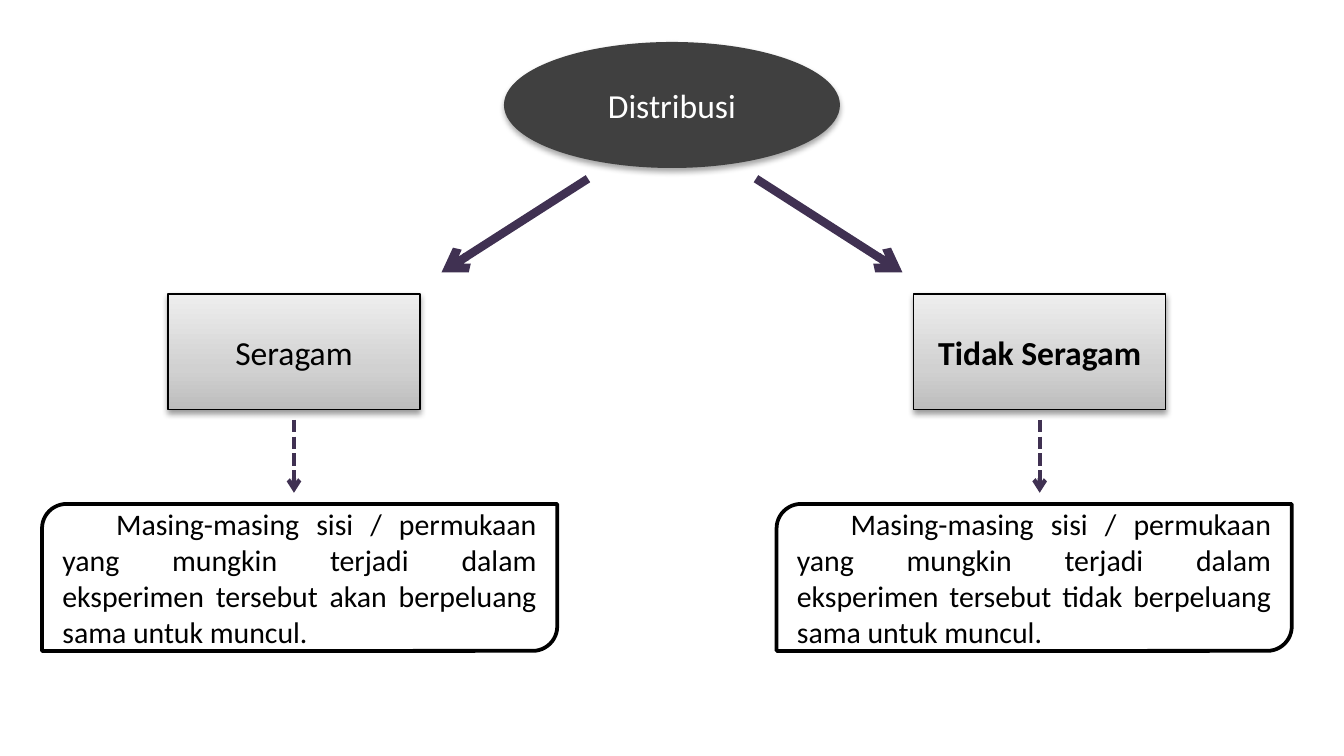
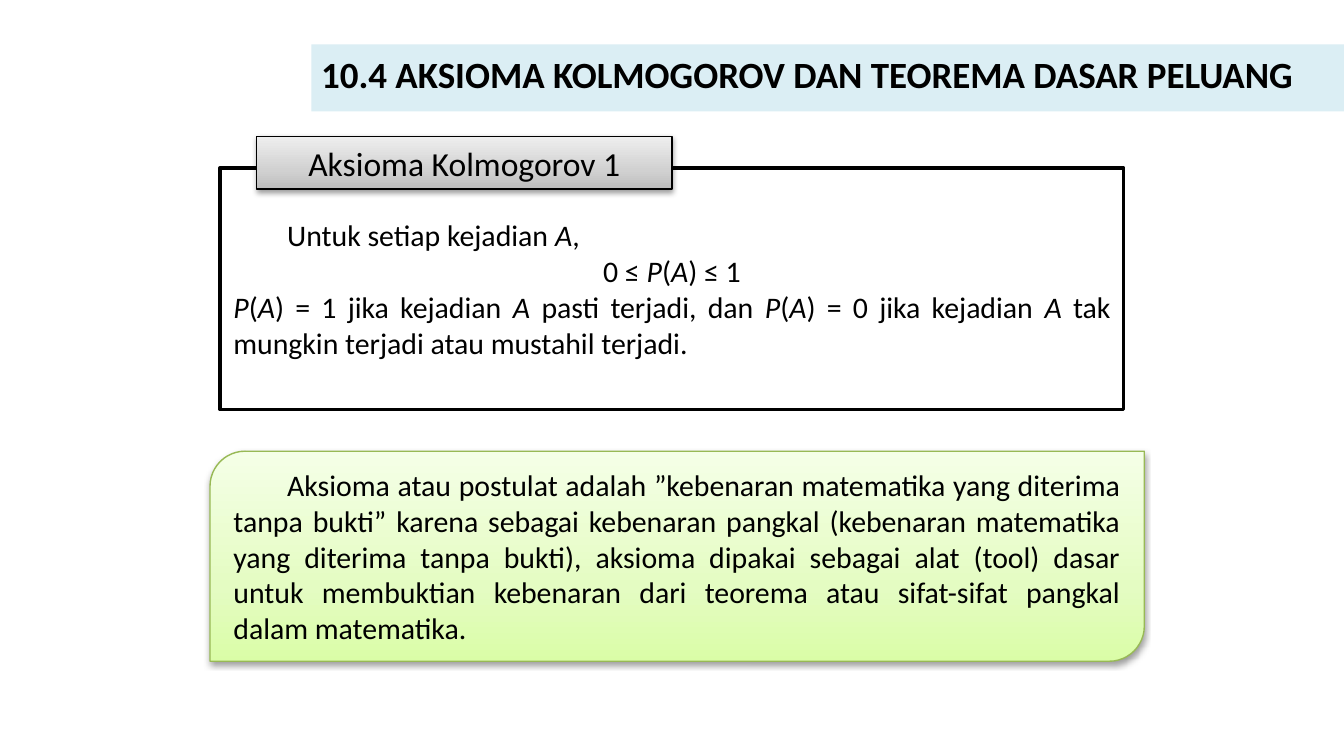
from copy import deepcopy
from dataclasses import dataclass

from lxml.etree import SubElement
from pptx import Presentation
from pptx.dml.color import RGBColor
from pptx.enum.dml import MSO_LINE
from pptx.enum.shapes import MSO_CONNECTOR, MSO_SHAPE
from pptx.enum.text import MSO_ANCHOR, PP_ALIGN
from pptx.oxml.ns import qn
from pptx.util import Pt


@dataclass(frozen=True)
class Theme:
    font: str = "Calibri"
    ink: str = "000000"
    paper: str = "FFFFFF"
    root: str = "404040"
    arrow: str = "403152"
    band: str = "DBEEF4"
    leaf: str = "98B955"
    grey_blend: tuple = ("BDBDBD", "D1D1D1", "EEEEEE")
    green_blend: tuple = ("DAFDA7", "E4FCC2", "F5FFE7")
    blend_stops: tuple = (0, 0.35, 1)
    title: float = 19.8
    label: float = 18
    body: float = 16
    indent: float = 28.8


theme = Theme()


def add_panel(slide, kind, box, paragraphs, fill, size, line=None, weight=0.75,
              color=theme.ink, bold=False, shadow=None):
    panel = slide.shapes.add_shape(kind, *[Pt(length) for length in box])
    panel.shadow.inherit = False
    if isinstance(fill, tuple):
        panel.fill.gradient()
        panel.fill.gradient_angle = 90
        first_stop = panel.element.spPr.find(".//" + qn("a:gs"))
        first_stop.addnext(deepcopy(first_stop))
        for stop, tint, position in zip(panel.fill.gradient_stops, fill, theme.blend_stops):
            stop.color.rgb = RGBColor.from_string(tint)
            stop.position = position
    else:
        panel.fill.solid()
        panel.fill.fore_color.rgb = RGBColor.from_string(fill)
    if line:
        panel.line.color.rgb = RGBColor.from_string(line)
        panel.line.width = Pt(weight)
    else:
        panel.line.fill.background()
    if shadow:
        opacity, distance = shadow
        effects = panel.element.spPr.find(qn("a:effectLst"))
        outer = SubElement(effects, qn("a:outerShdw"), blurRad=str(Pt(3.15)),
                           dist=str(Pt(distance)), dir="5400000", rotWithShape="0")
        shade = SubElement(outer, qn("a:srgbClr"), val=theme.ink)
        SubElement(shade, qn("a:alpha"), val=str(opacity * 1000))

    frame = panel.text_frame
    frame.word_wrap = True
    frame.vertical_anchor = MSO_ANCHOR.MIDDLE
    for index, (text, align, indent) in enumerate(paragraphs):
        paragraph = frame.paragraphs[0] if index == 0 else frame.add_paragraph()
        paragraph.alignment = align
        if indent:
            properties = paragraph._p.get_or_add_pPr()
            properties.set("marL", "0")
            properties.set("indent", str(Pt(indent)))
        for part, words in enumerate(text.split("_")):
            if words:
                run = paragraph.add_run()
                run.text = words
                run.font.name = theme.font
                run.font.size = Pt(size)
                run.font.bold = bold
                run.font.italic = part % 2 == 1
                run.font.color.rgb = RGBColor.from_string(color)
    return panel


def add_arrow(slide, start, end, weight, dash=None):
    arrow = slide.shapes.add_connector(
        MSO_CONNECTOR.STRAIGHT, *[Pt(length) for length in (*start, *end)])
    arrow.line.color.rgb = RGBColor.from_string(theme.arrow)
    arrow.line.width = Pt(weight)
    if dash:
        arrow.line.dash_style = dash
    properties = arrow.element.spPr
    SubElement(properties.find(qn("a:ln")), qn("a:tailEnd"), type="arrow")
    SubElement(properties, qn("a:effectLst"))


presentation = Presentation()
presentation.slide_width = Pt(720)
presentation.slide_height = Pt(405)
blank = presentation.slide_layouts[6]
label_style = dict(fill=theme.grey_blend, size=theme.label, line=theme.ink, shadow=(38, 1.57))

distribution = presentation.slides.add_slide(blank)
add_panel(distribution, MSO_SHAPE.OVAL, (270, 22.5, 180, 67.5),
          [("Distribusi", PP_ALIGN.CENTER, 0)],
          theme.root, theme.label, color=theme.paper, shadow=(35, 1.8))

branches = [
    ("Seragam", False, 157.5, 22.5, -1, "akan"),
    ("Tidak Seragam", True, 557, 416, 1, "tidak"),
]
for name, bold, center, definition_left, side, verb in branches:
    add_panel(distribution, MSO_SHAPE.RECTANGLE, (center - 67.5, 157.5, 135, 62),
              [(name, PP_ALIGN.CENTER, 0)], bold=bold, **label_style)
    definition = ("Masing-masing sisi / permukaan yang mungkin terjadi dalam "
                  f"eksperimen tersebut {verb} berpeluang sama untuk muncul.")
    add_panel(distribution, MSO_SHAPE.ROUND_2_DIAG_RECTANGLE,
              (definition_left, 270, 276, 78.75),
              [(definition, PP_ALIGN.JUSTIFY, theme.indent)],
              theme.paper, theme.body, line=theme.ink, weight=2)
    add_arrow(distribution, (360 + side * 45, 95.75), (360 + side * 123.5, 146), 4.5)
    add_arrow(distribution, (center, 225), (center, 264), 2.25, MSO_LINE.SQUARE_DOT)

axiom = presentation.slides.add_slide(blank)
heading = add_panel(axiom, MSO_SHAPE.RECTANGLE, (166.75, 23.75, 553.25, 36),
                    [("10.4 AKSIOMA KOLMOGOROV DAN TEOREMA DASAR PELUANG", PP_ALIGN.LEFT, 0)],
                    theme.band, theme.title, bold=True)
heading.text_frame.margin_left = heading.text_frame.margin_right = Pt(5.25)
heading.text_frame.margin_top = heading.text_frame.margin_bottom = Pt(2.75)
heading.text_frame.paragraphs[0].line_spacing = 0.8

add_panel(axiom, MSO_SHAPE.RECTANGLE, (118, 90, 484, 129.5), [
    ("Untuk setiap kejadian _A_,", PP_ALIGN.JUSTIFY, theme.indent),
    ("0 ≤ _P_(_A_) ≤ 1", PP_ALIGN.CENTER, 0),
    ("_P_(_A_) = 1 jika kejadian_ A _pasti terjadi, dan _P_(_A_) = 0 jika kejadian "
     "_A _tak mungkin terjadi atau mustahil terjadi.", PP_ALIGN.JUSTIFY, 0),
], theme.paper, theme.body, line=theme.ink, weight=2)
add_panel(axiom, MSO_SHAPE.RECTANGLE, (137.5, 73.25, 222.5, 28),
          [("Aksioma Kolmogorov 1", PP_ALIGN.CENTER, 0)], **label_style)

explanation = (
    "Aksioma atau postulat adalah ”kebenaran matematika yang diterima tanpa bukti” "
    "karena sebagai kebenaran pangkal (kebenaran matematika yang diterima tanpa bukti), "
    "aksioma dipakai sebagai alat (tool) dasar untuk membuktian kebenaran dari teorema "
    "atau sifat-sifat pangkal dalam matematika.")
add_panel(axiom, MSO_SHAPE.ROUND_2_DIAG_RECTANGLE, (112.5, 241.75, 500.5, 112.5),
          [(explanation, PP_ALIGN.JUSTIFY, theme.indent)],
          theme.green_blend, theme.body, line=theme.leaf, shadow=(38, 1.57))

presentation.save("out.pptx")
